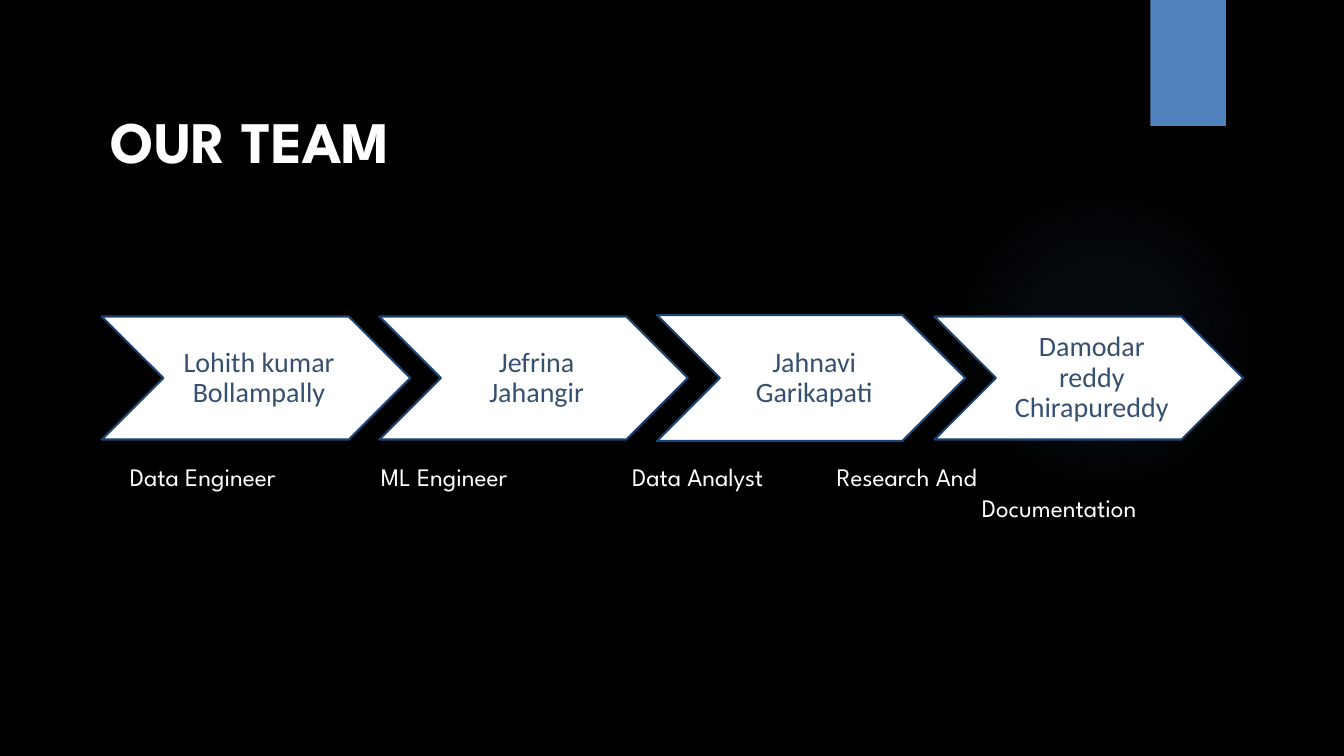
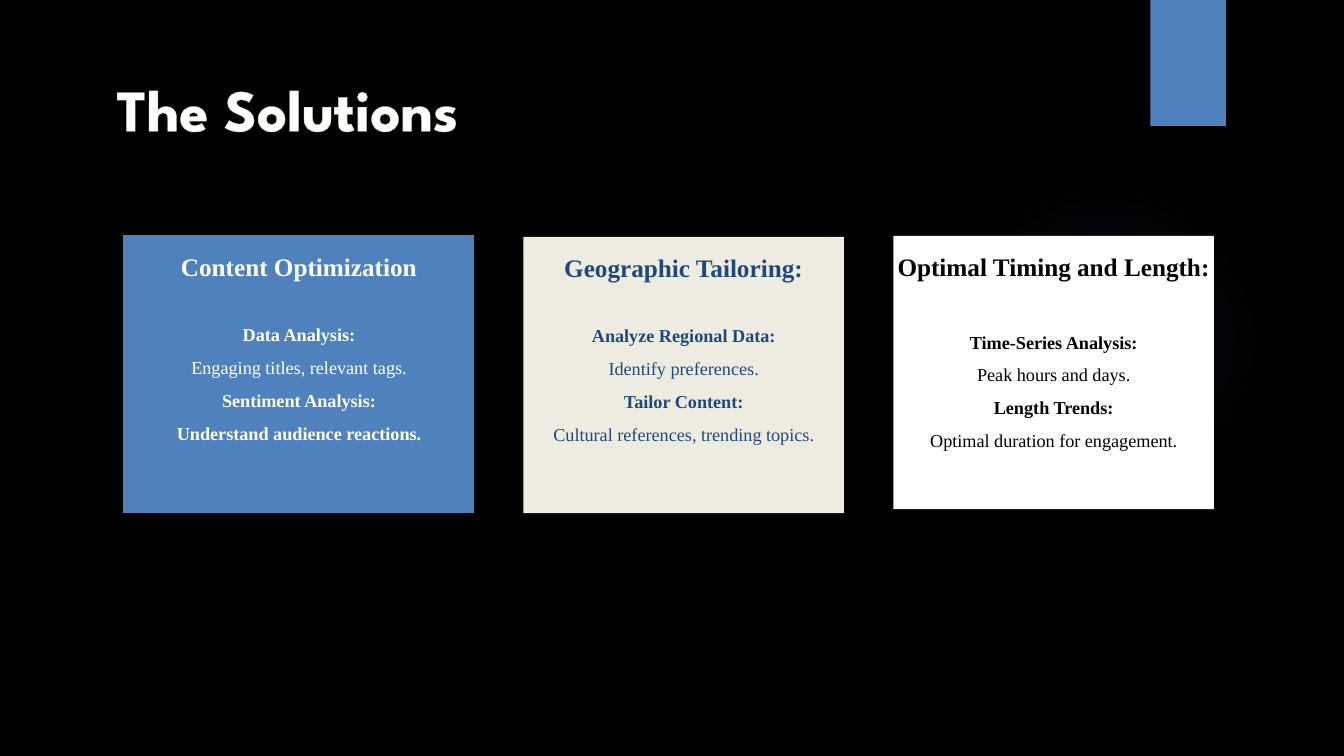
from dataclasses import dataclass

from lxml import etree
from pptx import Presentation
from pptx.dml.color import RGBColor
from pptx.enum.shapes import MSO_SHAPE as Preset
from pptx.enum.text import MSO_ANCHOR as Anchor, PP_ALIGN as Align
from pptx.oxml import parse_xml
from pptx.oxml.ns import nsdecls, qn
from pptx.util import Inches, Pt

BLACK, WHITE, BLUE, GLOW = "000000", "FFFFFF", "4F81BD", "558ED5"
NAVY, CREAM, OUTLINE = "1F497D", "EEECE1", "C4BD97"
CHEVRON_LINE, CHEVRON_TEXT = "1C4271", "355071"
DISPLAY, BODY, SERIF = "League Spartan", "Calibri", "Times New Roman"


@dataclass(frozen=True)
class Member:
    name: str
    height: float = 1.22


@dataclass(frozen=True)
class Card:
    left: float
    top: float
    width: float
    height: float
    fill: str
    color: str
    heading: str
    gap: float  # points between heading and first line
    lines: tuple[tuple[str, bool], ...]  # wording, bold


TEAM = (
    Member("Lohith kumar Bollampally"),
    Member("Jefrina Jahangir"),
    Member("Jahnavi Garikapati", 1.25),
    Member("Damodar reddy Chirapureddy"),
)

# Each row of roles: wording and its tab position in inches
ROLE_ROWS = (
    (("Data Engineer", 1.05), ("ML Engineer", 3.54),
     ("Data Analyst", 6.03), ("Research And", 8.06)),
    (("Documentation", 9.5),),
)

CARDS = (
    Card(1.23, 2.34, 3.47, 2.74, BLUE, WHITE, "Content Optimization", 22.4, (
        ("Data Analysis:", True),
        ("Engaging titles, relevant tags.", False),
        ("Sentiment Analysis:", True),
        ("Understand audience reactions.", True))),
    Card(5.19, 2.35, 3.18, 2.74, CREAM, NAVY, "Geographic Tailoring:", 22.4, (
        ("Analyze Regional Data:", True),
        ("Identify preferences.", False),
        ("Tailor Content:", True),
        ("Cultural references, trending topics.", False))),
    Card(8.86, 2.34, 3.18, 2.71, WHITE, BLACK, "Optimal Timing and Length:", 27.6, (
        ("Time-Series Analysis:", True),
        ("Peak hours and days.", False),
        ("Length Trends:", True),
        ("Optimal duration for engagement.", False))),
)


def rgb(color: str) -> RGBColor:
    return RGBColor.from_string(color)


def style(para, font: str, size: float, color: str, bold: bool = False) -> None:
    for span in para.runs:
        span.font.name = font
        span.font.size = Pt(size)
        span.font.bold = bold
        span.font.color.rgb = rgb(color)


def set_margins(frame, left: float, other: float) -> None:
    frame.margin_left = Inches(left)
    frame.margin_top = frame.margin_right = frame.margin_bottom = Inches(other)


def add_preset(page, preset, left: float, top: float, width: float, height: float,
               fill: str, line: str | None = None, line_width: float = 0.75):
    shape = page.shapes.add_shape(
        preset, Inches(left), Inches(top), Inches(width), Inches(height))
    shape.shadow.inherit = False
    shape.fill.solid()
    shape.fill.fore_color.rgb = rgb(fill)
    if line:
        shape.line.color.rgb = rgb(line)
        shape.line.width = Pt(line_width)
    else:
        shape.line.fill.background()
    return shape


def add_box(page, left: float, top: float, width: float, height: float):
    box = page.shapes.add_textbox(
        Inches(left), Inches(top), Inches(width), Inches(height))
    box.text_frame.word_wrap = True
    return box


def add_glow(page) -> None:
    glow = add_preset(page, Preset.OVAL, 9.41, 1.83, 3.08, 3.08, GLOW)
    stops = "".join(
        f'<a:gs pos="{position * 1000}"><a:srgbClr val="{GLOW}">'
        f'<a:alpha val="{opacity * 1000}"/></a:srgbClr></a:gs>'
        for position, opacity in ((0, 7), (36, 6), (69, 0), (100, 0)))
    gradient = parse_xml(
        f'<a:gradFill {nsdecls("a")}><a:gsLst>{stops}</a:gsLst><a:path path="circle">'
        '<a:fillToRect l="50000" t="50000" r="50000" b="50000"/></a:path></a:gradFill>')
    properties = glow.element.spPr
    properties.replace(properties.find(qn("a:solidFill")), gradient)


def add_page(deck, title: str, left: float, top: float, height: float):
    """Add a black page with the glow, the corner band and a title."""
    page = deck.slides.add_slide(deck.slide_layouts[6])
    page.background.fill.solid()
    page.background.fill.fore_color.rgb = rgb(BLACK)
    add_glow(page)
    add_preset(page, Preset.RECTANGLE, 11.41, 0, 0.75, 1.25, BLUE)
    box = add_box(page, left, top, 10.29, height)
    box.text_frame.text = title
    style(box.text_frame.paragraphs[0], DISPLAY, 42, WHITE, bold=True)
    return page, box


def add_member(page, index: int, member: Member) -> None:
    chevron = add_preset(page, Preset.CHEVRON, 1.01 + index * 2.753,
                         3.75 - member.height / 2, 3.06, member.height,
                         WHITE, CHEVRON_LINE, 1.5)
    frame = chevron.text_frame
    frame.word_wrap = True
    frame.vertical_anchor = Anchor.MIDDLE
    set_margins(frame, 0.09, 0.03)
    frame.text = member.name
    para = frame.paragraphs[0]
    para.alignment = Align.CENTER
    para.line_spacing = 0.9
    style(para, BODY, 20, CHEVRON_TEXT)


def add_roles(page) -> None:
    frame = add_box(page, 0.14, 4.53, 13.05, 0.71).text_frame
    frame.text = "\n".join(
        "".join(f"\t{role}" for role, _ in row) for row in ROLE_ROWS)
    for para, row in zip(frame.paragraphs, ROLE_ROWS):
        style(para, DISPLAY, 18, WHITE)
        tabs = etree.SubElement(para._p.get_or_add_pPr(), qn("a:tabLst"))
        for _, position in row:
            etree.SubElement(tabs, qn("a:tab"), pos=str(Inches(position)), algn="l")


def add_card(page, card: Card) -> None:
    line = BLUE if card.fill == BLUE else None
    shape = add_preset(page, Preset.RECTANGLE, card.left, card.top,
                       card.width, card.height, card.fill, line)
    frame = shape.text_frame
    frame.word_wrap = True
    frame.vertical_anchor = Anchor.TOP
    set_margins(frame, 0, 0)
    frame.text = "\n".join((card.heading, *(text for text, _ in card.lines)))
    heading, *details = frame.paragraphs
    for para in frame.paragraphs:
        para.alignment = Align.CENTER
        para.line_spacing = 1.5
    heading.space_after = Pt(card.gap)
    style(heading, SERIF, 18, card.color, bold=True)
    for para, (_, bold) in zip(details, card.lines):
        style(para, SERIF, 13, card.color, bold)


def build_team(deck) -> None:
    page, _ = add_page(deck, "OUR TEAM", 1, 0.99, 1.53)
    for index, member in enumerate(TEAM):
        add_member(page, index, member)
    add_roles(page)


def build_solutions(deck) -> None:
    page, title = add_page(deck, "The Solutions", 1.06, 0.67, 0.99)
    # Thin outline around the title letters
    span = title.text_frame.paragraphs[0].runs[0]
    span.font._element.insert(0, parse_xml(
        f'<a:ln {nsdecls("a")} w="{Pt(1)}"><a:solidFill>'
        f'<a:srgbClr val="{OUTLINE}"/></a:solidFill></a:ln>'))
    for card in CARDS:
        add_card(page, card)


def main() -> None:
    deck = Presentation()
    deck.slide_width = Inches(13.33)
    deck.slide_height = Inches(7.5)
    build_team(deck)
    build_solutions(deck)
    deck.save("out.pptx")


if __name__ == "__main__":
    main()
